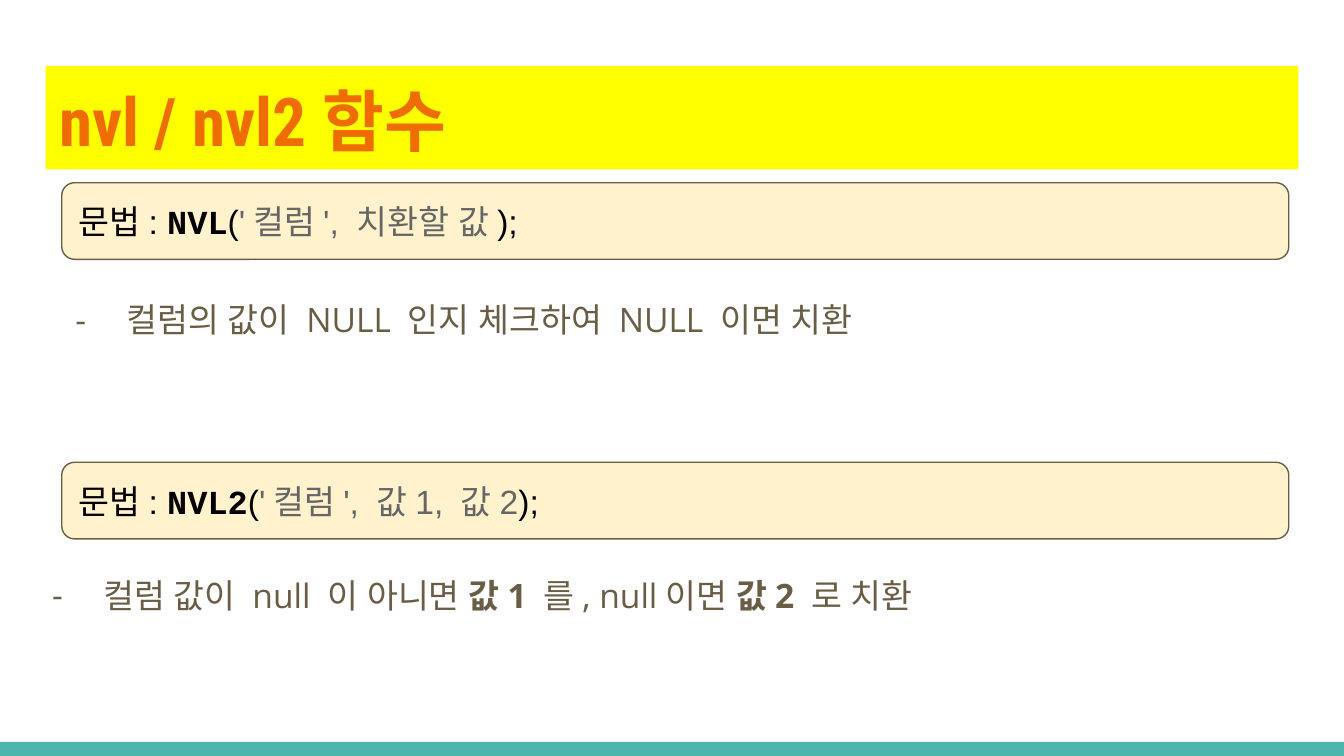
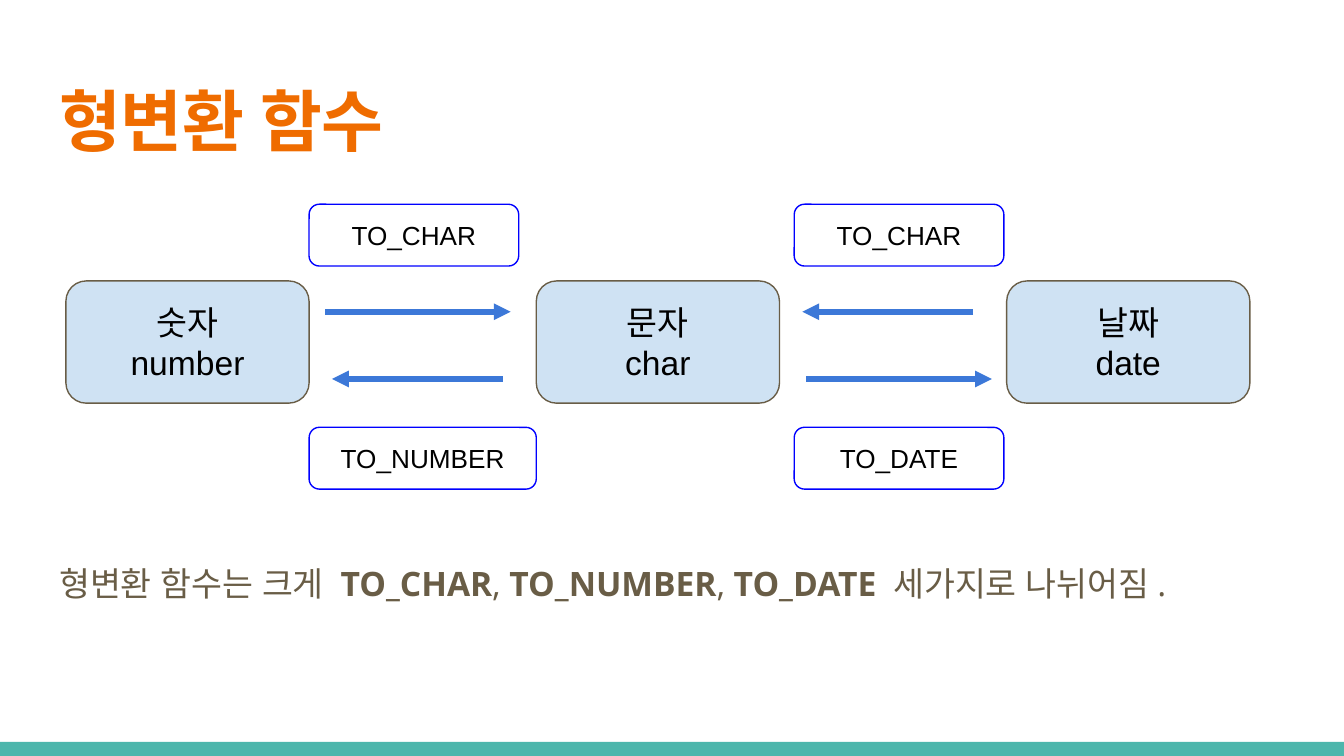
"""Builds two slides on the SQL NVL and type conversion functions."""
from lxml.etree import SubElement
from pptx import Presentation
from pptx.dml.color import RGBColor
from pptx.enum.shapes import MSO_CONNECTOR, MSO_SHAPE
from pptx.enum.text import MSO_ANCHOR, MSO_AUTO_SIZE, PP_ALIGN
from pptx.oxml.ns import qn
from pptx.util import Inches, Pt

COLORS = {
    "teal": "4DB6AC", "yellow": "FFFF00", "orange": "EF6C00", "brown": "695D46",
    "cream": "FFF2CC", "gray": "666666", "black": "000000", "sky": "CFE2F3",
    "arrow": "3C78D8", "blue": "0000FF", "white": "FFFFFF",
}
COLORS = {name: RGBColor.from_string(value) for name, value in COLORS.items()}
TITLE = dict(size=36, font="Roboto Condensed", color="orange", bold=True)
BODY = dict(size=18, font="Open Sans", color="brown", spacing=1.15)
LABEL = dict(size=18, font="Arial", color="black", anchor=MSO_ANCHOR.MIDDLE)
BOLD = dict(bold=True)


def write(holder, paragraphs, at=None, size=18, font="Arial", color="black", bold=False,
          align=PP_ALIGN.LEFT, anchor=MSO_ANCHOR.TOP, spacing=1.0, after=0, dash=False):
    if at:
        holder.left, holder.top, holder.width, holder.height = map(Inches, at)
    frame = holder.text_frame
    frame.word_wrap = True
    frame.auto_size = MSO_AUTO_SIZE.NONE
    frame.vertical_anchor = anchor
    frame.margin_left = frame.margin_right = Inches(0.1)
    frame.margin_top = frame.margin_bottom = Inches(0.1)
    for number, runs in enumerate(paragraphs):
        paragraph = frame.add_paragraph() if number else frame.paragraphs[0]
        paragraph.alignment = align
        paragraph.line_spacing = spacing
        paragraph.space_before, paragraph.space_after = Pt(0), Pt(after)
        properties = paragraph._p.get_or_add_pPr()
        properties.set("marL", str(Inches(0.5) if dash else 0))
        properties.set("indent", str(Inches(-0.38) if dash else 0))
        if dash:
            tint = SubElement(properties, qn("a:buClr"))
            SubElement(tint, qn("a:srgbClr"), val=str(COLORS[color]))
            SubElement(properties, qn("a:buFont"), typeface=font)
            SubElement(properties, qn("a:buChar"), char="-")
        else:
            SubElement(properties, qn("a:buNone"))
        for words, changes in runs:
            look = dict(font=font, color=color, bold=bold) | changes
            run = paragraph.add_run()
            run.text = words
            run.font.size = Pt(size)
            run.font.bold = look["bold"]
            run.font.color.rgb = COLORS[look["color"]]
            run.font.name = look["font"]
            SubElement(run.font._element, qn("a:ea"), typeface=look["font"])


def add_box(slide, kind, at, fill=None, line=None):
    box = slide.shapes.add_shape(kind, *map(Inches, at))
    box.shadow.inherit = False
    if fill:
        box.fill.solid()
        box.fill.fore_color.rgb = COLORS[fill]
    else:
        box.fill.background()
    if line:
        box.line.color.rgb = COLORS[line]
        box.line.width = Pt(0.75)
    else:
        box.line.fill.background()
    return box


deck = Presentation()
deck.slide_width = Inches(10)
deck.slide_height = deck.slide_width * 9 // 16
master = deck.slide_master
master.background.fill.solid()
master.background.fill.fore_color.rgb = COLORS["white"]
layout = deck.slide_layouts[1]
nvl_slide, conversion_slide = deck.slides.add_slide(layout), deck.slides.add_slide(layout)

footer_band = add_box(nvl_slide, MSO_SHAPE.RECTANGLE, (0, 5.52, 10, 0.11), fill="teal")
master.shapes.element.insert(2, footer_band.element)

for slide, heading in ((nvl_slide, "nvl / nvl2함수"), (conversion_slide, "형변환 함수")):
    write(slide.shapes.title, [[(heading, {})]], at=(0.34, 0.49, 9.32, 0.77), **TITLE)
nvl_slide.shapes.title.fill.solid()
nvl_slide.shapes.title.fill.fore_color.rgb = COLORS["yellow"]

write(nvl_slide.placeholders[1], [[("컬럼의 값이 NULL 인지 체크하여 NULL 이면 치환", {})]],
      at=(0.34, 2.08, 9.32, 0.57), dash=True, **BODY)

for top, function, arguments in ((1.36, "NVL", "'컬럼', 치환할 값"),
                                 (3.44, "NVL2", "'컬럼', 값1, 값2")):
    syntax = add_box(nvl_slide, MSO_SHAPE.ROUNDED_RECTANGLE, (0.46, top, 9.13, 0.57),
                     fill="cream", line="brown")
    write(syntax, [[("문법: ", {}), (function, dict(font="Courier New", bold=True)), ("(", {}),
                    (arguments, dict(color="gray")), (");", {})]], **LABEL)

nvl2_note = nvl_slide.shapes.add_textbox(*map(Inches, (0.17, 4.12, 9.78, 0.57)))
write(nvl2_note, [[("컬럼 값이 null 이 아니면 ", {}), ("값1", BOLD), (" 를, null이면 ", {}),
                   ("값2", BOLD), (" 로 치환", {})]],
      anchor=MSO_ANCHOR.MIDDLE, dash=True, **BODY)

write(conversion_slide.placeholders[1],
      [[("형변환 함수는 크게 ", {}), ("TO_CHAR", BOLD), (", ", {}), ("TO_NUMBER", BOLD),
        (", ", {}), ("TO_DATE ", BOLD), ("세가지로 나뉘어짐.", {})]],
      at=(0.34, 4.04, 9.32, 0.96), after=16, **BODY)

for column, names in enumerate((("숫자", "number"), ("문자", "char"), ("날짜", "date"))):
    data_type = add_box(conversion_slide, MSO_SHAPE.FLOWCHART_ALTERNATE_PROCESS,
                        (0.49 + 3.5 * column, 2.09, 1.81, 0.91), fill="sky", line="brown")
    write(data_type, [[(name, {})] for name in names], align=PP_ALIGN.CENTER, **LABEL)

for start, end, level in ((2.42, 3.8, 2.32), (6, 7.38, 2.82),
                          (7.24, 5.97, 2.32), (3.74, 2.47, 2.82)):
    conversion = conversion_slide.shapes.add_connector(
        MSO_CONNECTOR.STRAIGHT, *map(Inches, (start, level, end, level)))
    conversion.line.color.rgb = COLORS["arrow"]
    conversion.line.width = Pt(3)
    outline = conversion.element.spPr.find(qn("a:ln"))
    SubElement(outline, qn("a:tailEnd"), type="triangle")
    SubElement(conversion.element.spPr, qn("a:effectLst"))

for left, top, width, function in ((2.3, 1.52, 1.56, "TO_CHAR"), (5.91, 1.52, 1.56, "TO_CHAR"),
                                   (2.3, 3.18, 1.69, "TO_NUMBER"), (5.91, 3.18, 1.56, "TO_DATE")):
    function_label = add_box(conversion_slide, MSO_SHAPE.ROUNDED_RECTANGLE,
                             (left, top, width, 0.46), line="blue")
    write(function_label, [[(function, {})]], align=PP_ALIGN.CENTER, **(LABEL | dict(size=14)))

deck.save("out.pptx")
